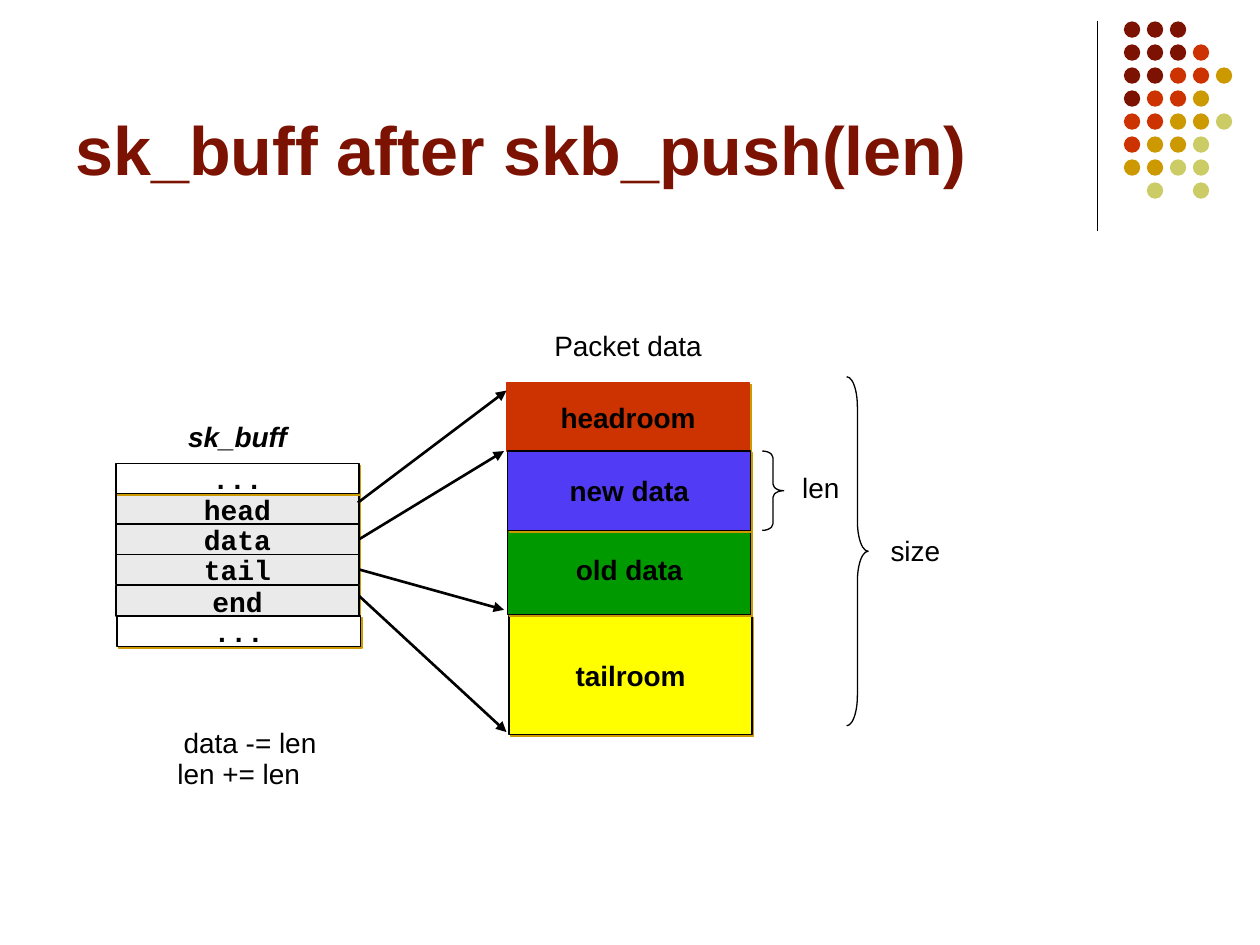
from lxml import etree
from pptx import Presentation
from pptx.dml.color import RGBColor
from pptx.enum.shapes import MSO_CONNECTOR, MSO_SHAPE
from pptx.enum.text import MSO_ANCHOR, PP_ALIGN
from pptx.oxml.ns import qn
from pptx.util import Inches, Pt

RECTANGLE = MSO_SHAPE.RECTANGLE
ELLIPSE = MSO_SHAPE.OVAL
BRACE = MSO_SHAPE.RIGHT_BRACE
STRAIGHT = MSO_CONNECTOR.STRAIGHT
MIDDLE, BOTTOM = MSO_ANCHOR.MIDDLE, MSO_ANCHOR.BOTTOM
CENTER = PP_ALIGN.CENTER
RIGHT_SIDE = 3


def color(value):
    return RGBColor.from_string(value)


def add_label(text, left, top, width, height, font="Arial", bold=False, fill=None, line="000000"):
    area = [Inches(value) for value in (left, top, width, height)]
    if fill:
        box = page.shapes.add_shape(RECTANGLE, *area)
        box.fill.solid()
        box.fill.fore_color.rgb = color(fill)
        box.line.color.rgb = color(line)
        box.line.width = Pt(0.75)
        effects = etree.SubElement(box._element.spPr, qn("a:effectLst"))
        shadow = etree.SubElement(effects, qn("a:outerShdw"), dist=str(Pt(1.4)), dir="2700000", algn="ctr", rotWithShape="0")
        etree.SubElement(shadow, qn("a:srgbClr"), val="CC9900")
    else:
        box = page.shapes.add_textbox(*area)
    frame = box.text_frame
    frame.text = text
    frame.word_wrap = False
    frame.vertical_anchor = MIDDLE
    frame.margin_left = frame.margin_right = Inches(0.06)
    frame.margin_top = frame.margin_bottom = Inches(0.02)
    para = frame.paragraphs[0]
    para.alignment = CENTER
    span = para.runs[0]
    span.font.name = font
    span.font.size = Pt(16)
    span.font.bold = bold
    span.font.color.rgb = color("000000")
    return box


deck = Presentation()
deck.slide_width = Inches(10)
deck.slide_height = Inches(7.5)
page = deck.slides.add_slide(deck.slide_layouts[6])

DOT_COLORS = {"r": "7C1302", "o": "CC3300", "g": "CC9900", "y": "CCCC66"}
DOT_ROWS = ["rrr", "rrro", "rroog", "roog", "ooggy", "oggy", "ggyy", ".y.y"]
dots = page.shapes.add_group_shape()
for row, pattern in enumerate(DOT_ROWS):
    for column, key in enumerate(pattern):
        if key in DOT_COLORS:
            dot = dots.shapes.add_shape(
                ELLIPSE, Inches(8.92) + column * Inches(0.73) // 4,
                Inches(0.17) + row * Inches(0.73) // 4, Inches(0.13), Inches(0.13))
            dot.shadow.inherit = False
            dot.fill.solid()
            dot.fill.fore_color.rgb = color(DOT_COLORS[key])
            dot.line.fill.background()

title = page.shapes.add_textbox(Inches(0.5), Inches(0.13), Inches(8.25), Inches(1.42))
title.text_frame.text = "sk_buff after skb_push(len)"
title.text_frame.word_wrap = True
title.text_frame.vertical_anchor = BOTTOM
title_font = title.text_frame.paragraphs[0].runs[0].font
title_font.name = "Arial"
title_font.size = Pt(39)
title_font.bold = True
title_font.color.rgb = color("7C1302")

fields = {}
for name, left, top, fill in [
    ("head", 0.92, 3.92, "EAEAEA"),
    ("data", 0.92, 4.16, "EAEAEA"),
    ("tail", 0.92, 4.4, "EAEAEA"),
    ("end", 0.92, 4.65, "EAEAEA"),
    ("...", 0.92, 3.68, "FFFFFF"),
    ("...", 0.93, 4.89, "FFFFFF"),
]:
    fields[name] = add_label(name, left, top, 1.93, 0.24, "Courier New", True, fill)

for name, left, top, height, fill, line in [
    ("headroom", 4.02, 3.04, 0.54, "CC3300", "CC3300"),
    ("tailroom", 4.04, 4.89, 0.94, "FFFF00", "000000"),
    ("old data", 4.03, 4.16, 0.72, "009900", "000000"),
    ("new data", 4.03, 3.58, 0.63, "513BF5", "000000"),
]:
    add_label(name, left, top, 1.93, height, bold=True, fill=fill, line=line)

heading = add_label("sk_buff", 0.92, 3.34, 1.93, 0.24, bold=True)
heading.text_frame.paragraphs[0].runs[0].font.italic = True
for text, left, top, width in [
    ("Packet data", 4.02, 2.62, 1.93),
    ("len", 6.18, 3.75, 0.67),
    ("size", 6.93, 4.25, 0.67),
    ("data -= len", 1.02, 5.77, 1.93),
    ("len += len", 0.93, 6.02, 1.93),
]:
    add_label(text, left, top, width, 0.24)

for left, top, height, curve in [(6.05, 3.58, 0.63, 0.31), (6.72, 2.99, 2.77, 1.4)]:
    brace = page.shapes.add_shape(BRACE, Inches(left), Inches(top), Inches(0.17), Inches(height))
    brace.adjustments[0] = curve
    brace.shadow.inherit = False
    brace.fill.background()
    brace.line.color.rgb = color("000000")
    brace.line.width = Pt(0.75)

for start_x, start_y, end_x, end_y, width, source in [
    (8.71, 0.17, 8.71, 1.83, 0.75, None),
    (2.84, 3.99, 4.02, 3.1, 1.5, None),
    (2.85, 4.28, 4, 3.58, 1.5, "data"),
    (2.85, 4.52, 4, 4.84, 1.5, "tail"),
    (2.85, 4.73, 4.02, 5.81, 1.5, None),
]:
    connector = page.shapes.add_connector(
        STRAIGHT, Inches(start_x), Inches(start_y), Inches(end_x), Inches(end_y))
    if source:
        connector.begin_connect(fields[source], RIGHT_SIDE)
    connector.line.color.rgb = color("000000")
    connector.line.width = Pt(width)
    if width > 1:
        etree.SubElement(connector.line._get_or_add_ln(), qn("a:tailEnd"), type="triangle")
    etree.SubElement(connector._element.spPr, qn("a:effectLst"))

deck.save("out.pptx")
